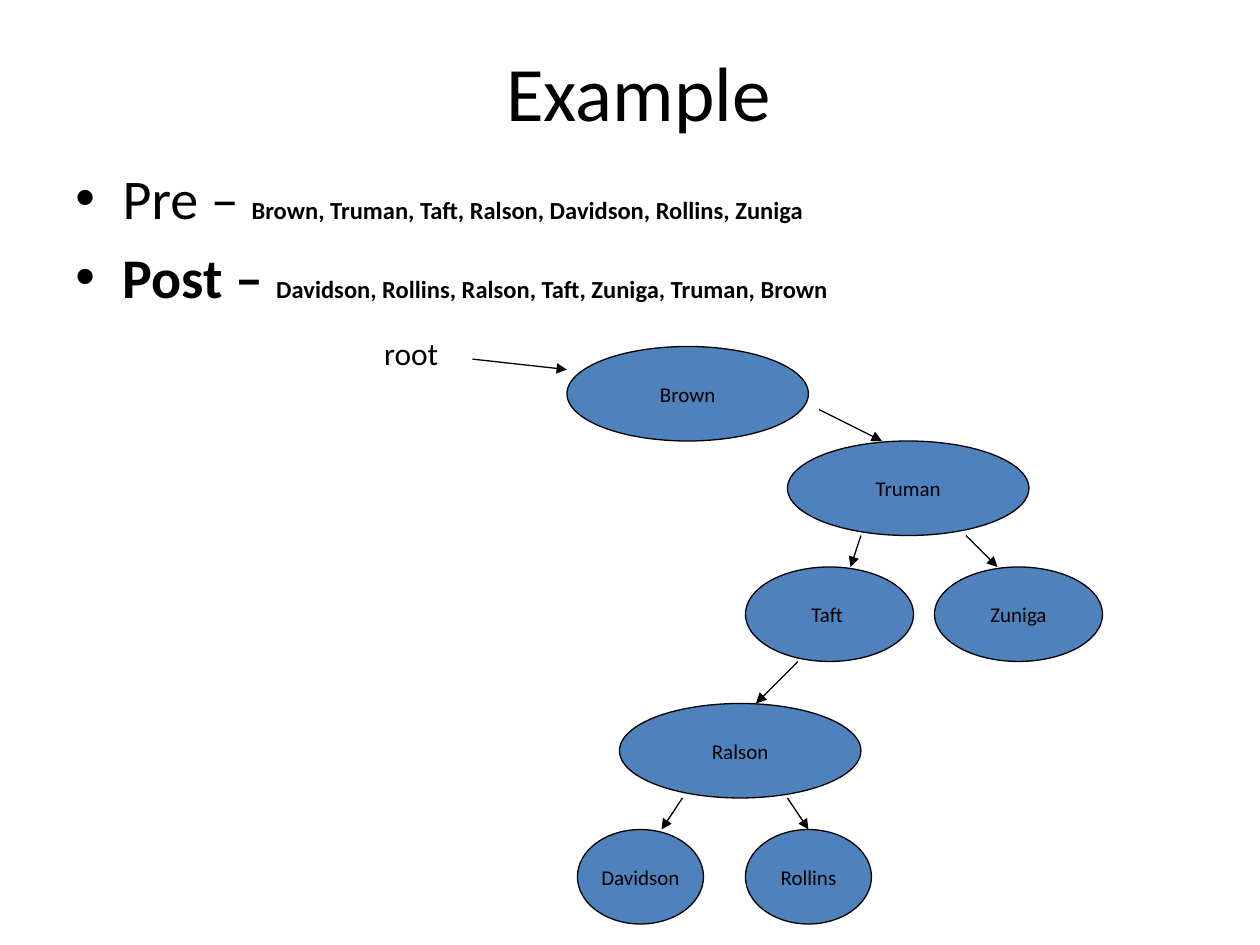
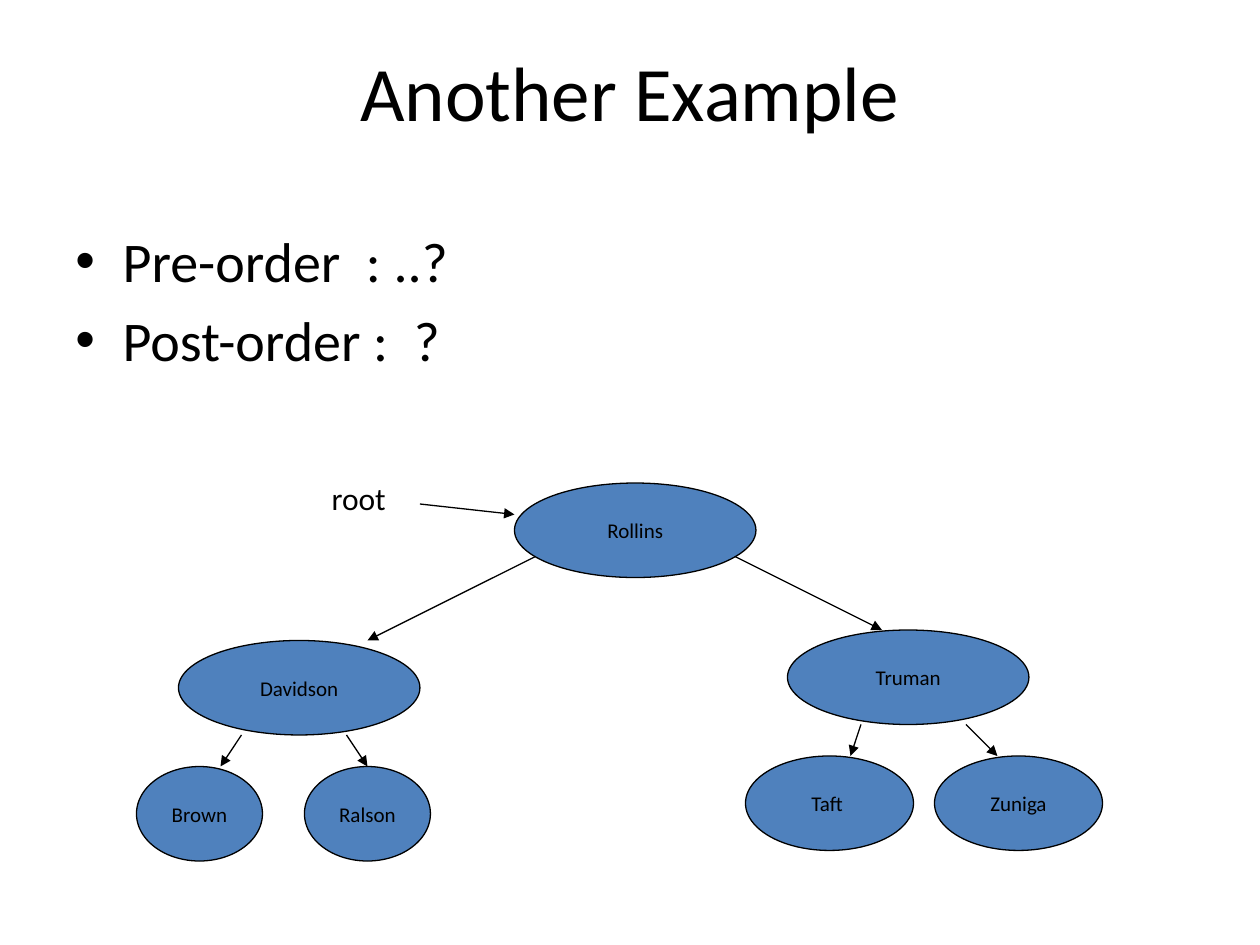
"""Build two slides on tree traversal orders."""
from dataclasses import dataclass
from typing import NamedTuple

from lxml import etree
from pptx import Presentation
from pptx import util as u
from pptx.dml.color import RGBColor
from pptx.enum import shapes, text
from pptx.oxml.ns import qn
from pptx.slide import Slide


@dataclass(frozen=True)
class Theme:
    font: str = "Calibri"
    bullet_font: str = "Arial"
    ink: RGBColor = RGBColor(0x00, 0x00, 0x00)
    node: RGBColor = RGBColor(0x4F, 0x81, 0xBD)
    title: float = 44
    body: float = 32
    label: float = 18
    order: float = 14
    name: float = 12
    line: float = 0.75
    space_before: float = 6.4


class Span(NamedTuple):
    words: str
    size: float
    bold: bool = False
    tracking: float = 0


class Node(NamedTuple):
    name: str
    left: float
    top: float
    width: float = 23


class Arrow(NamedTuple):
    x1: float
    y1: float
    x2: float
    y2: float


class Fork(NamedTuple):
    """Two children placed relative to the top left of their parent."""
    child_width: float
    child_lefts: tuple[float, float]
    arrows: tuple[Arrow, Arrow]


class Family(NamedTuple):
    parent: Node
    children: tuple[str, str]
    fork: Fork


class TreePage(NamedTuple):
    title: str
    body_top: float
    bullets: list[list[Span]]
    nodes: list[Node]
    families: list[Family]
    arrows: list[Arrow]
    root: Arrow


THEME = Theme()
UNITS_PER_INCH = 12
CHILD_DROP = 12
NODE_HEIGHT = 9
WIDE = Fork(16, (-4, 14), (Arrow(7, 9, 6, 12), Arrow(17, 9, 20, 12)))
NARROW = Fork(12, (-4, 12), (Arrow(6, 9, 4, 12), Arrow(16, 9, 18, 12)))
WIDE_GAP = Span(" ", THEME.body, tracking=7.2)


def grid(units: float) -> u.Length:
    """Turn twelfths of an inch into a length."""
    return u.Cm(units * 2.54 / UNITS_PER_INCH)


def add_text(para, words: str, *, size: float, bold: bool = False, tracking: float = 0,
             align: text.PP_ALIGN = text.PP_ALIGN.LEFT) -> None:
    """Append formatted words to a paragraph."""
    para.alignment = align
    span = para.add_run()
    span.text = words
    span.font.name = THEME.font
    span.font.size = u.Pt(size)
    span.font.bold = bold
    span.font.color.rgb = THEME.ink
    if tracking:
        span.font._element.set("spc", str(round(tracking * 100)))


def add_title(page: Slide, words: str) -> None:
    """Place and fill the title placeholder."""
    box = page.shapes.title
    box.left, box.top, box.width, box.height = map(grid, (6, 3.6, 108, 15))
    box.text_frame.vertical_anchor = text.MSO_ANCHOR.TOP
    add_text(box.text_frame.paragraphs[0], words, size=THEME.title,
             align=text.PP_ALIGN.CENTER)


def add_bullets(page: Slide, top: float, bullets: list[list[Span]]) -> None:
    """Draw the list of traversal orders."""
    box = page.shapes.add_textbox(*map(grid, (6, top, 108, 59.4)))
    frame = box.text_frame
    frame.word_wrap = True
    for index, spans in enumerate(bullets):
        para = frame.add_paragraph() if index else frame.paragraphs[0]
        properties = para._p.get_or_add_pPr()
        properties.set("marL", str(grid(4.5)))
        properties.set("indent", str(-grid(4.5)))
        etree.SubElement(properties, qn("a:buFont"), typeface=THEME.bullet_font)
        etree.SubElement(properties, qn("a:buChar"), char="•")
        if index:
            para.space_before = u.Pt(THEME.space_before)
        for span in spans:
            add_text(para, span.words, size=span.size, bold=span.bold,
                     tracking=span.tracking)


def add_node(page: Slide, node: Node) -> None:
    """Draw one named ellipse."""
    box = page.shapes.add_shape(
        shapes.MSO_SHAPE.OVAL,
        *map(grid, (node.left, node.top, node.width, NODE_HEIGHT)))
    box.shadow.inherit = False
    box.fill.solid()
    box.fill.fore_color.rgb = THEME.node
    box.line.color.rgb = THEME.ink
    box.line.width = u.Pt(THEME.line)
    frame = box.text_frame
    frame.word_wrap = False
    frame.vertical_anchor = text.MSO_ANCHOR.MIDDLE
    add_text(frame.paragraphs[0], node.name, size=THEME.name,
             align=text.PP_ALIGN.CENTER)


def add_arrow(page: Slide, arrow: Arrow) -> None:
    """Draw a straight line with a head at its end."""
    connector = page.shapes.add_connector(
        shapes.MSO_CONNECTOR.STRAIGHT, *map(grid, arrow))
    connector.line.color.rgb = THEME.ink
    connector.line.width = u.Pt(THEME.line)
    etree.SubElement(connector.line._get_or_add_ln(), qn("a:tailEnd"), type="triangle")
    etree.SubElement(connector._element.spPr, qn("a:effectLst"))


def add_family(page: Slide, family: Family) -> None:
    """Draw a parent, its two children and the arrows between them."""
    parent, fork = family.parent, family.fork
    add_node(page, parent)
    for name, left, arrow in zip(family.children, fork.child_lefts, fork.arrows):
        add_node(page, Node(name, parent.left + left, parent.top + CHILD_DROP,
                            fork.child_width))
        add_arrow(page, Arrow(parent.left + arrow.x1, parent.top + arrow.y1,
                              parent.left + arrow.x2, parent.top + arrow.y2))


def add_root(page: Slide, arrow: Arrow) -> None:
    """Draw the root label and its pointer."""
    add_arrow(page, arrow)
    box = page.shapes.add_textbox(
        *map(grid, (arrow.x1 - 9.6, arrow.y1 - 3, 8, 4.8)))
    box.text_frame.word_wrap = False
    add_text(box.text_frame.paragraphs[0], "root", size=THEME.label)


PAGES = [
    TreePage(
        title=" Example",
        body_top=15,
        bullets=[
            [Span("Pre – ", THEME.body),
             Span("Brown, Truman, Taft, Ralson, Davidson, Rollins, Zuniga",
                  THEME.order, bold=True)],
            [Span("Post – ", THEME.body, bold=True),
             Span("Davidson, Rollins, Ralson, Taft, Zuniga, Truman, Brown",
                  THEME.order, bold=True)],
        ],
        nodes=[Node("Brown", 54, 33)],
        families=[Family(Node("Truman", 75, 42), ("Taft ", "Zuniga"), WIDE),
                  Family(Node("Ralson", 59, 67), ("Davidson", "Rollins"), NARROW)],
        arrows=[Arrow(78, 39, 84, 42), Arrow(76, 63, 72, 67)],
        root=Arrow(45, 34.2, 54, 35.2),
    ),
    TreePage(
        title="Another Example",
        body_top=21,
        bullets=[
            [Span("Pre-order", THEME.body), WIDE_GAP, Span(": ..?", THEME.body)],
            [Span("Post-order :", THEME.body), WIDE_GAP, Span("?", THEME.body)],
        ],
        nodes=[Node("Rollins", 49, 46)],
        families=[Family(Node("Davidson", 17, 61), ("Brown", "Ralson"), NARROW),
                  Family(Node("Truman", 75, 60), ("Taft ", "Zuniga"), WIDE)],
        arrows=[Arrow(51, 53, 35, 61), Arrow(70, 53, 84, 60)],
        root=Arrow(40, 48, 49, 49),
    ),
]


def main() -> None:
    """Build and save the deck."""
    deck = Presentation()
    deck.slide_width, deck.slide_height = u.Cm(25.4), u.Cm(19.05)
    for content in PAGES:
        page = deck.slides.add_slide(deck.slide_layouts[5])
        add_title(page, content.title)
        add_bullets(page, content.body_top, content.bullets)
        for node in content.nodes:
            add_node(page, node)
        for family in content.families:
            add_family(page, family)
        for arrow in content.arrows:
            add_arrow(page, arrow)
        add_root(page, content.root)
    deck.save("out.pptx")


if __name__ == "__main__":
    main()
